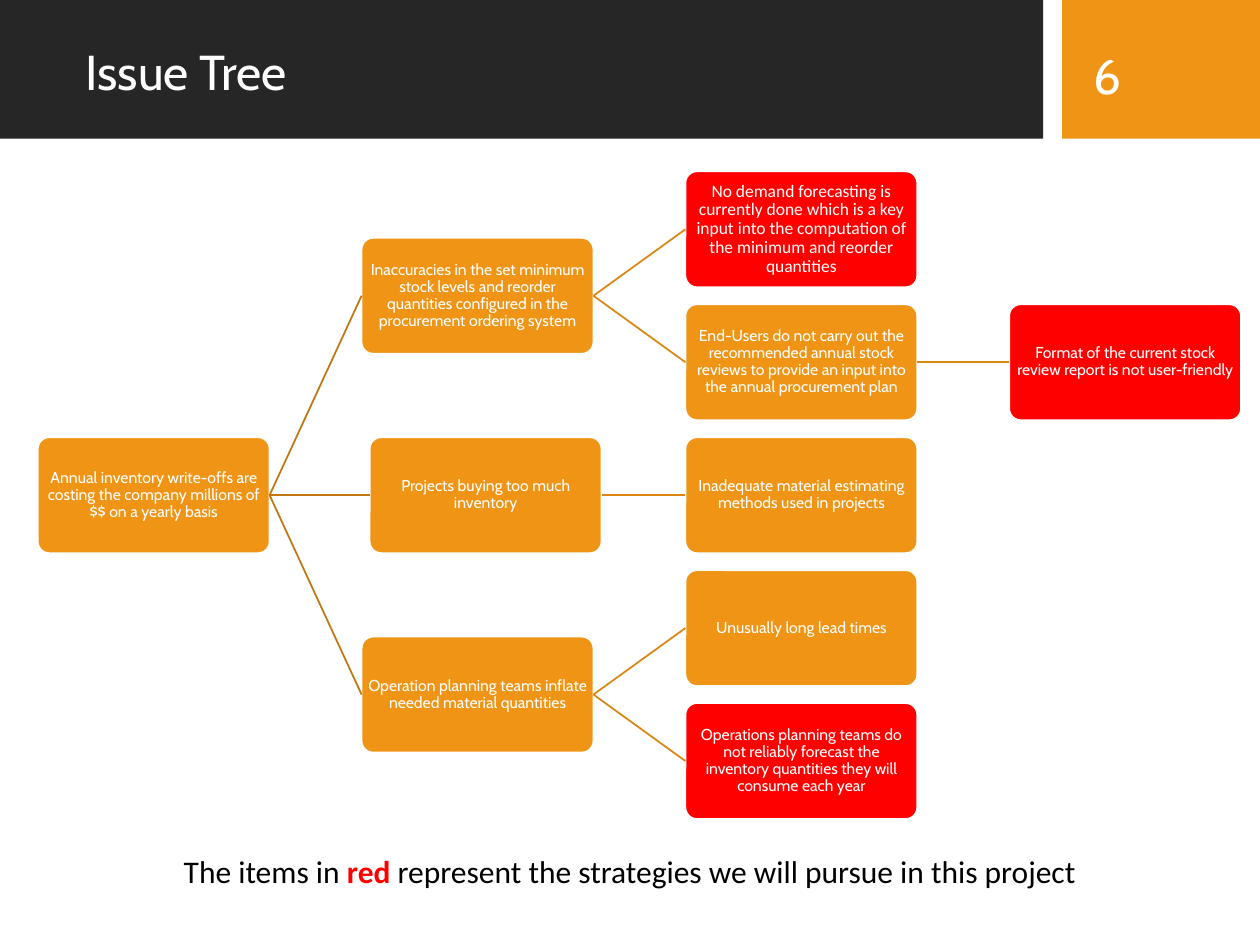
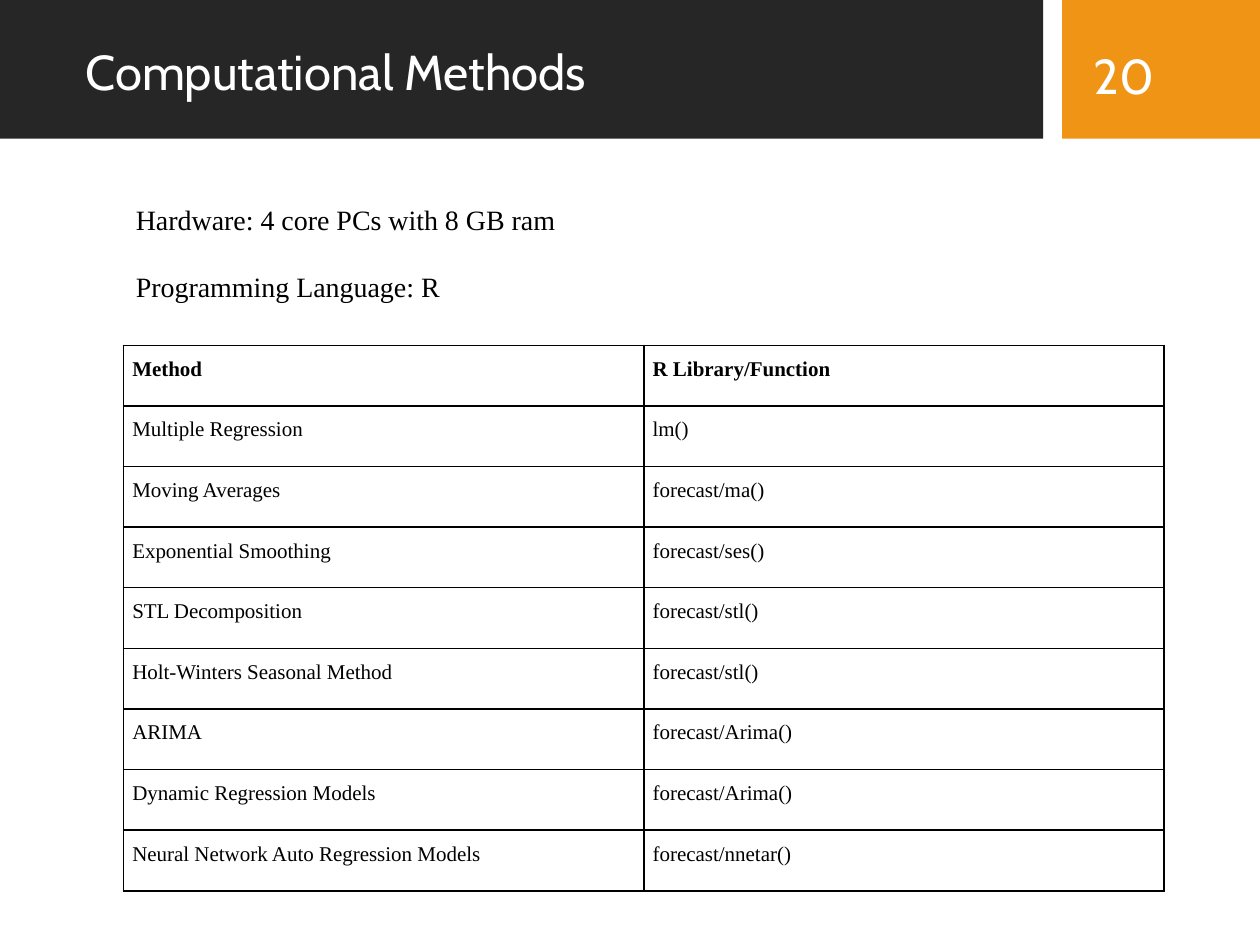
from lxml import etree
from pptx import Presentation
from pptx.dml.color import RGBColor
from pptx.enum.shapes import MSO_CONNECTOR, MSO_SHAPE
from pptx.enum.text import MSO_ANCHOR, MSO_AUTO_SIZE, PP_ALIGN
from pptx.oxml.ns import qn
from pptx.util import Inches, Pt

RECT, ROUND = MSO_SHAPE.RECTANGLE, MSO_SHAPE.ROUNDED_RECTANGLE
LINE = MSO_CONNECTOR.STRAIGHT
LEFT, CENTER = PP_ALIGN.LEFT, PP_ALIGN.CENTER
TOP, MIDDLE = MSO_ANCHOR.TOP, MSO_ANCHOR.MIDDLE
FIXED = MSO_AUTO_SIZE.NONE

COLORS = {
    "dark": "262626", "orange": "F09415", "red": "FF0000",
    "white": "FFFFFF", "black": "000000",
    "trunk": "C07711", "branch": "DA8613",
}
HEAD, BODY, SERIF = "Cabin", "Calibri", "Times New Roman"
NODE_W, NODE_H = 1.84, 0.92
COL_X, COL_STEP = 0.3, 2.57
ROW_Y, ROW_STEP = 1.36, 1.055

NODES = {
    "root": (0, 2, "orange", "Annual inventory write-offs are costing the company millions of $$ on a yearly basis"),
    "levels": (1, 0.5, "orange", "Inaccuracies in the set minimum stock levels and reorder quantities configured in the procurement ordering system"),
    "buying": (1.025, 2, "orange", "Projects buying too much inventory"),
    "inflate": (1, 3.5, "orange", "Operation planning teams inflate needed material quantities"),
    "demand": (2, 0, "red", "No demand forecasting is currently done which is a key input into the computation of the minimum and reorder quantities"),
    "reviews": (2, 1, "orange", "End-Users do not carry out the recommended annual stock reviews to provide an input into the annual procurement plan"),
    "methods": (2, 2, "orange", "Inadequate material estimating methods used in projects"),
    "lead": (2, 3, "orange", "Unusually long lead times"),
    "usage": (2, 4, "red", "Operations planning teams do not reliably forecast the inventory quantities they will consume each year"),
    "format": (3, 1, "red", "Format of the current stock review report is not user-friendly"),
}
LINKS = [
    ("root", "levels"), ("root", "buying"), ("root", "inflate"),
    ("levels", "demand"), ("levels", "reviews"), ("reviews", "format"),
    ("buying", "methods"), ("inflate", "lead"), ("inflate", "usage"),
]
METHODS = [
    ("Method", "R Library/Function"),
    ("Multiple Regression", "lm()"),
    ("Moving Averages", "forecast/ma()"),
    ("Exponential Smoothing", "forecast/ses()"),
    ("STL Decomposition", "forecast/stl()"),
    ("Holt-Winters Seasonal Method", "forecast/stl()"),
    ("ARIMA", "forecast/Arima()"),
    ("Dynamic Regression Models", "forecast/Arima()"),
    ("Neural Network Auto Regression Models", "forecast/nnetar()"),
]


def rgb(name):
    return RGBColor.from_string(COLORS[name])


class Deck:
    def __init__(self):
        self.file = Presentation()
        self.file.slide_width, self.file.slide_height = Inches(10), Inches(7.5)
        self.slide = None

    def page(self, title, number):
        self.slide = self.file.slides.add_slide(self.file.slide_layouts[5])
        self.shape(RECT, 0, 0, 8.28, 1.1, "dark")
        self.shape(RECT, 8.43, 0, 1.57, 1.1, "orange")
        head = self.slide.shapes.title
        head.element.getparent().append(head.element)
        head.left, head.top = Inches(0.58), Inches(0.16)
        head.width, head.height = Inches(7.54), Inches(0.87)
        frame = head.text_frame
        frame.text = title
        frame.auto_size = FIXED
        self.style(frame, 28, HEAD, "white", anchor=MIDDLE, space=0.9)
        self.text(8.58, 0.16, 1.27, 0.87, [number], 28, HEAD, "white", anchor=MIDDLE)

    def style(self, frame, size, face, color, align=LEFT, anchor=TOP, space=1.0, bold=False):
        frame.word_wrap = True
        frame.vertical_anchor = anchor
        for para in frame.paragraphs:
            para.alignment, para.line_spacing = align, space
            for run in para.runs:
                font = run.font
                font.size, font.name, font.bold = Pt(size), face, bold
                font.color.rgb = rgb(color)

    def shape(self, kind, x, y, w, h, fill):
        item = self.slide.shapes.add_shape(kind, Inches(x), Inches(y), Inches(w), Inches(h))
        item.shadow.inherit = False
        item.fill.solid()
        item.fill.fore_color.rgb = rgb(fill)
        item.line.fill.background()
        return item

    def text(self, x, y, w, h, parts, size, face, color, **look):
        box = self.slide.shapes.add_textbox(Inches(x), Inches(y), Inches(w), Inches(h))
        frame = box.text_frame
        frame.text = "\n".join(parts)
        self.style(frame, size, face, color, **look)
        return frame

    def node(self, col, row, fill, words, size, face):
        x, y = COL_X + col * COL_STEP, ROW_Y + row * ROW_STEP
        item = self.shape(ROUND, x, y, NODE_W, NODE_H, fill)
        item.adjustments[0] = 0.1
        item.line.color.rgb, item.line.width = rgb("white"), Pt(1)
        frame = item.text_frame
        frame.text = words
        frame.margin_left = frame.margin_right = Inches(0.01)
        frame.margin_top = frame.margin_bottom = Inches(0.01)
        self.style(frame, size, face, "white", CENTER, MIDDLE, 0.9)
        return item

    def link(self, start, end, color):
        line = self.slide.shapes.add_connector(LINE, 0, 0, 0, 0)
        line.begin_connect(start, 3)
        line.end_connect(end, 1)
        line.line.color.rgb, line.line.width = rgb(color), Pt(1)
        etree.SubElement(line.element.spPr, qn("a:effectLst"))

    def edge(self, cell):
        props = cell._tc.get_or_add_tcPr()
        for side in ("lnL", "lnR", "lnT", "lnB"):
            line = etree.SubElement(props, qn(f"a:{side}"), w=str(Pt(1)))
            fill = etree.SubElement(line, qn("a:solidFill"))
            etree.SubElement(fill, qn("a:srgbClr"), val=COLORS["black"])

    def table(self, x, y, w, h, rows):
        grid = self.slide.shapes.add_table(
            len(rows), len(rows[0]), Inches(x), Inches(y), Inches(w), Inches(h)).table
        grid.first_row = grid.horz_banding = False
        for r, row in enumerate(rows):
            for c, words in enumerate(row):
                cell = grid.cell(r, c)
                cell.text = words
                cell.margin_left = cell.margin_right = Inches(0.07)
                cell.margin_top = cell.margin_bottom = Inches(0.07)
                self.edge(cell)
                cell.fill.background()
                self.style(cell.text_frame, 12, SERIF, "black", space=1.15, bold=r == 0)


def tree(deck):
    deck.page("Issue Tree", "6")
    items = {}
    for key, node in NODES.items():
        size, face = (10, BODY) if key == "demand" else (9, HEAD)
        items[key] = deck.node(*node, size, face)
    for start, end in LINKS:
        deck.link(items[start], items[end], "trunk" if start == "root" else "branch")
    frame = deck.text(0.82, 6.71, 8.36, 0.4, ["The items in "], 18, BODY, "black")
    para = frame.paragraphs[0]
    for words in ("red", " represent the strategies we will pursue in this project"):
        para.add_run().text = words
    deck.style(frame, 18, BODY, "black", CENTER)
    mark = para.runs[1].font
    mark.bold, mark.color.rgb = True, rgb("red")


def methods(deck):
    deck.page("Computational Methods", "20")
    deck.table(0.98, 2.74, 8.26, 4.33, METHODS)
    deck.text(0.98, 1.29, 4.37, 1.18,
              ["Hardware: 4 core PCs with 8 GB ram", "Programming Language: R"],
              16, SERIF, "black", space=2.0)


def main():
    deck = Deck()
    tree(deck)
    methods(deck)
    deck.file.save("out.pptx")


if __name__ == "__main__":
    main()
